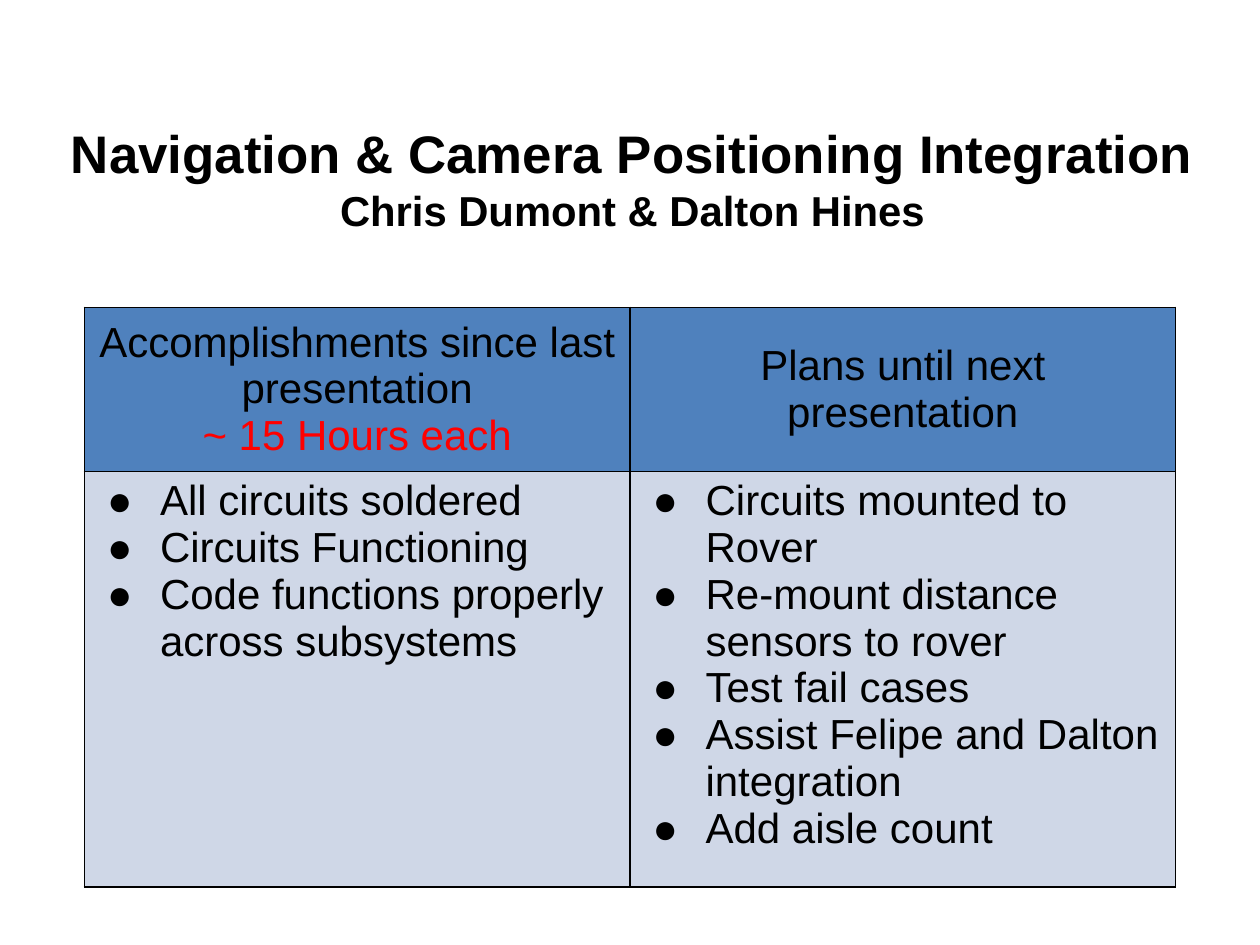
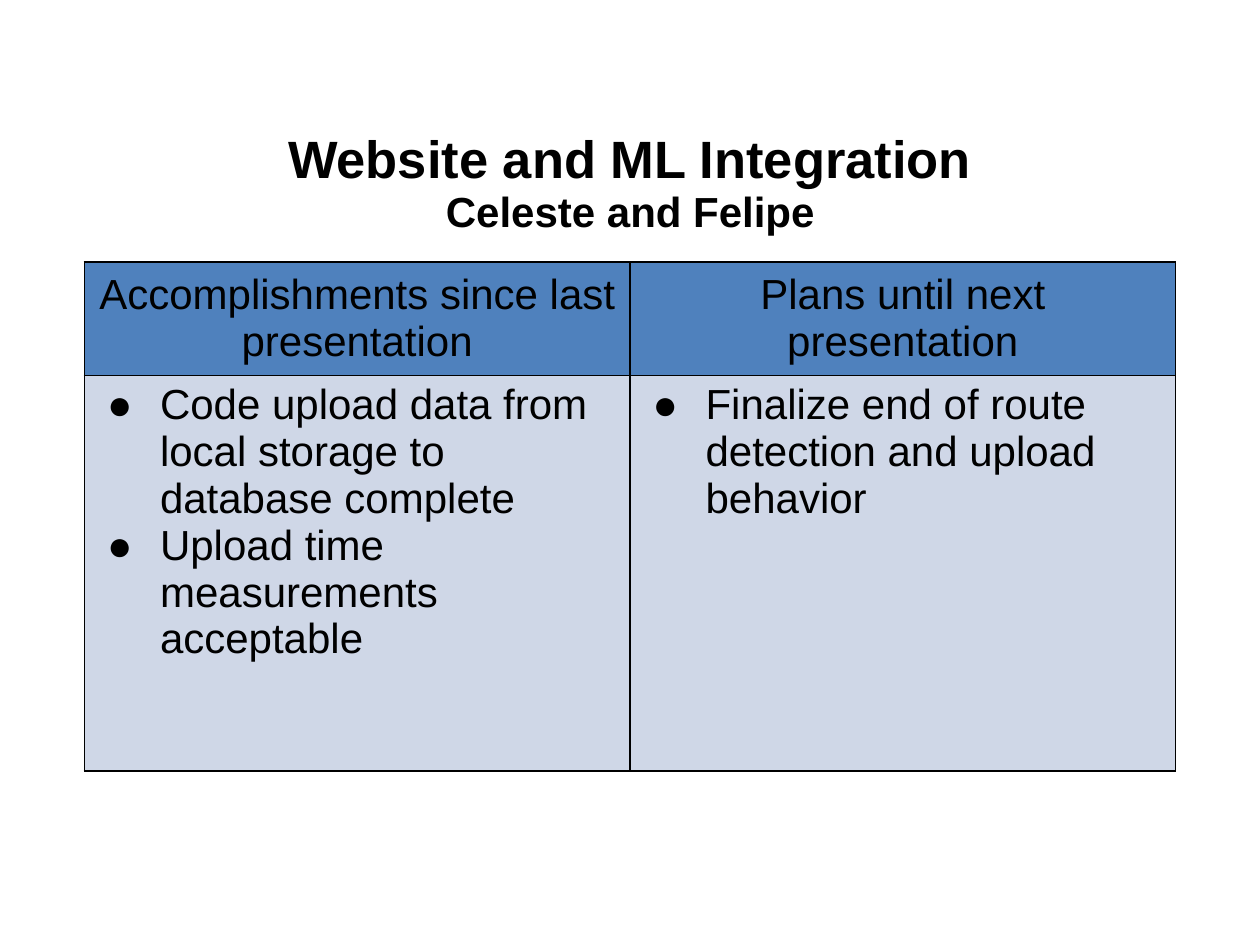
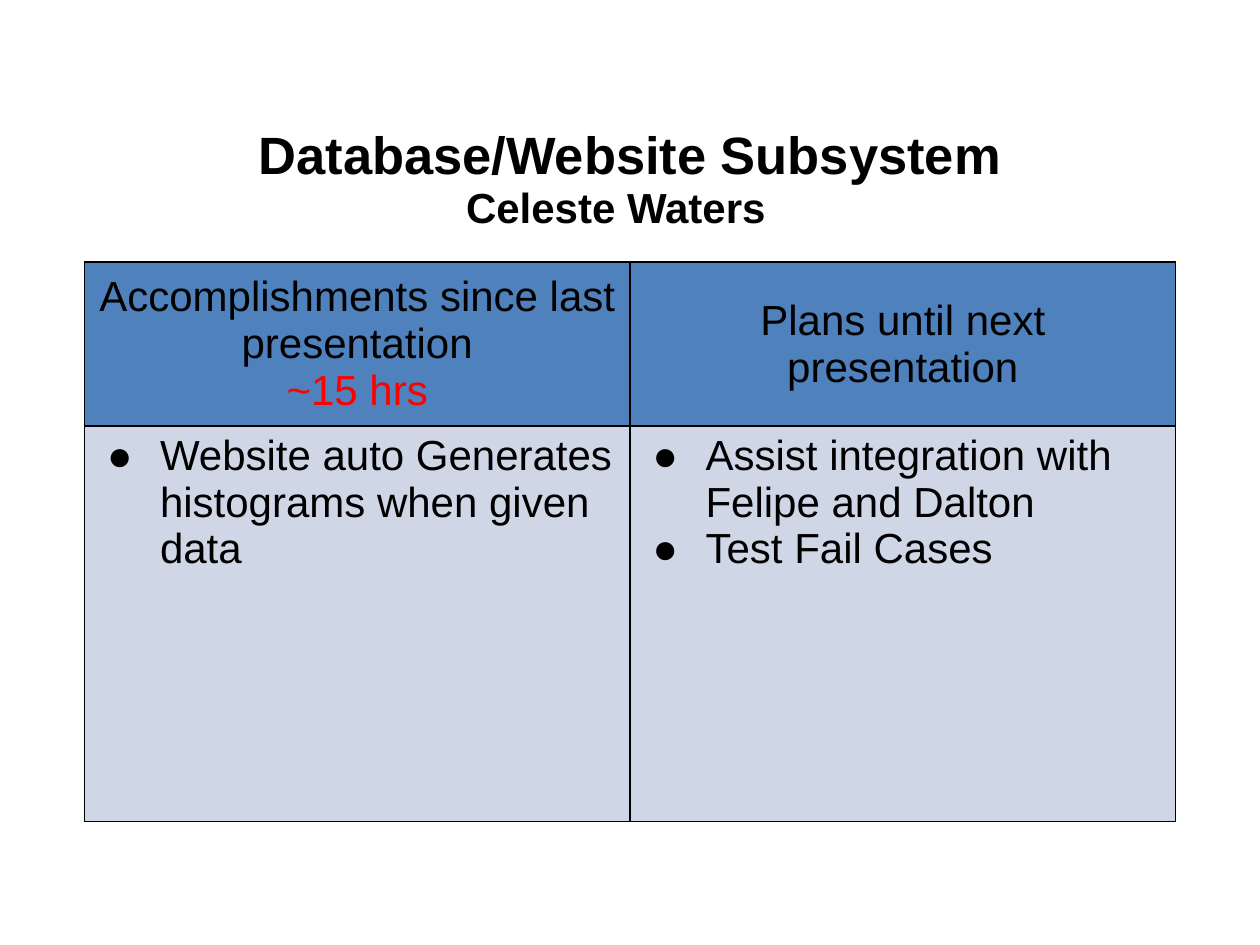
import pptx
import pptx.util
import pptx.dml.color
import pptx.enum.text
import pptx.oxml.ns
import lxml.etree

Inches = pptx.util.Inches
Pt = pptx.util.Pt
RGBColor = pptx.dml.color.RGBColor
CENTER = pptx.enum.text.PP_ALIGN.CENTER
LEFT = pptx.enum.text.PP_ALIGN.LEFT
MIDDLE = pptx.enum.text.MSO_ANCHOR.MIDDLE
TOP = pptx.enum.text.MSO_ANCHOR.TOP
qn = pptx.oxml.ns.qn

FONT = "Arial"
BLACK = RGBColor(0x00, 0x00, 0x00)
RED = RGBColor(0xFF, 0x00, 0x00)
HEADER_FILL = RGBColor(0x4F, 0x81, 0xBD)
BODY_FILL = RGBColor(0xCF, 0xD7, 0xE7)

# The slide is a grid of 100 columns and 75 rows of square units
WIDTH, HEIGHT = Inches(10), Inches(7.5)
UNIT = WIDTH // 100

TITLE_SIZE, TEXT_SIZE = 30, 24
TABLE_LEFT, COLUMN_WIDTH = 6.7, 43.3
HEADER_HEIGHT, BODY_HEIGHT = 5.7, 31.4
DONE = "Accomplishments since last presentation"
PLANS = "Plans until next presentation"


def units(n):
    return round(n * UNIT)


def add_child(parent, tag, **attributes):
    return lxml.etree.SubElement(parent, qn(tag), attributes)


def add_bullet(p):
    pPr = p._p.get_or_add_pPr()
    pPr.set("marL", str(Inches(0.5)))
    pPr.set("indent", str(-Inches(0.42)))
    add_child(add_child(pPr, "a:buClr"), "a:srgbClr", val=str(BLACK))
    add_child(pPr, "a:buFont", typeface=FONT)
    add_child(pPr, "a:buChar", char="●")


def write(tf, lines, align=LEFT, bold=False, bullets=False):
    """Fill a text frame with (text, size, colour) lines."""
    for i, (text, size, color) in enumerate(lines):
        p = tf.add_paragraph() if i else tf.paragraphs[0]
        p.alignment = align
        if bullets:
            add_bullet(p)
        p.font.name, p.font.size, p.font.bold = FONT, Pt(size), bold
        p.font.color.rgb = color
        p.add_run().text = text


def add_heading(s, box, lines, align=CENTER, anchor=MIDDLE, inset=0.05):
    """Bold text in a box of (left, top, width, height) units."""
    tf = s.shapes.add_textbox(*map(units, box)).text_frame
    tf.word_wrap = True
    tf.vertical_anchor = anchor
    tf.margin_top = tf.margin_bottom = Inches(inset)
    write(tf, lines, align, bold=True)


def add_subtitle(s, box, text):
    add_heading(s, box, [(text, TEXT_SIZE, BLACK)], LEFT, TOP, 0.1)


def style_cell(cell, fill, anchor):
    tcPr = cell._tc.get_or_add_tcPr()
    for side in "LRTB":
        ln = add_child(tcPr, f"a:ln{side}", w=str(Pt(1)))
        add_child(add_child(ln, "a:solidFill"), "a:srgbClr", val=str(BLACK))
    cell.fill.solid()
    cell.fill.fore_color.rgb = fill
    cell.vertical_anchor = anchor
    cell.margin_left = cell.margin_right = Inches(0.1)
    cell.margin_top = cell.margin_bottom = Inches(0.05)


def add_status_table(s, top, done, plans, hours=None):
    """Accomplishments beside plans, with the hours spent in red."""
    box = (TABLE_LEFT, top, 2 * COLUMN_WIDTH, HEADER_HEIGHT + BODY_HEIGHT)
    table = s.shapes.add_table(2, 2, *map(units, box)).table
    table.first_row = table.horz_banding = False
    table.rows[0].height = units(HEADER_HEIGHT)
    table.rows[1].height = units(BODY_HEIGHT)

    for col, (header, items) in enumerate([(DONE, done), (PLANS, plans)]):
        table.columns[col].width = units(COLUMN_WIDTH)
        head, body = table.cell(0, col), table.cell(1, col)
        style_cell(head, HEADER_FILL, MIDDLE)
        style_cell(body, BODY_FILL, TOP)
        lines = [(header, TEXT_SIZE, BLACK)]
        if hours and header == DONE:
            lines.append((hours, TEXT_SIZE, RED))
        write(head.text_frame, lines, CENTER)
        write(body.text_frame, [(t, TEXT_SIZE, BLACK) for t in items],
              bullets=True)


def main():
    prs = pptx.Presentation()
    prs.slide_width, prs.slide_height = WIDTH, HEIGHT
    blank = prs.slide_layouts[6]

    # Navigation and camera
    s = prs.slides.add_slide(blank)
    add_heading(s, (2.3, 9.7, 95.8, 8.8), [
        ("Navigation & Camera Positioning Integration", 30.2, BLACK),
        ("Chris Dumont & Dalton Hines", 23.9, BLACK)])
    add_status_table(
        s, 24.4,
        ["All circuits soldered", "Circuits Functioning",
         "Code functions properly across subsystems"],
        ["Circuits mounted to Rover", "Re-mount distance sensors to rover",
         "Test fail cases", "Assist Felipe and Dalton integration",
         "Add aisle count"],
        "~ 15 Hours each")

    # Website and ML
    s = prs.slides.add_slide(blank)
    add_heading(s, (5, 8.1, 90, 8.8),
                [("Website and ML Integration", TITLE_SIZE, BLACK)])
    add_status_table(
        s, 20.8,
        ["Code upload data from local storage to database complete",
         "Upload time measurements acceptable"],
        ["Finalize end of route detection and upload behavior"])
    add_subtitle(s, (34.4, 13.7, 32.5, 6.1), "Celeste and Felipe")

    # Database and website
    s = prs.slides.add_slide(blank)
    add_heading(s, (5, 7.8, 90, 8.8),
                [("Database/Website Subsystem", TITLE_SIZE, BLACK)])
    add_status_table(
        s, 20.8,
        ["Website auto Generates histograms when given data"],
        ["Assist integration with Felipe and Dalton", "Test Fail Cases"],
        "~15 hrs")
    add_subtitle(s, (36, 13.4, 27.9, 6.1), "Celeste Waters")

    prs.save("out.pptx")


if __name__ == "__main__":
    main()
